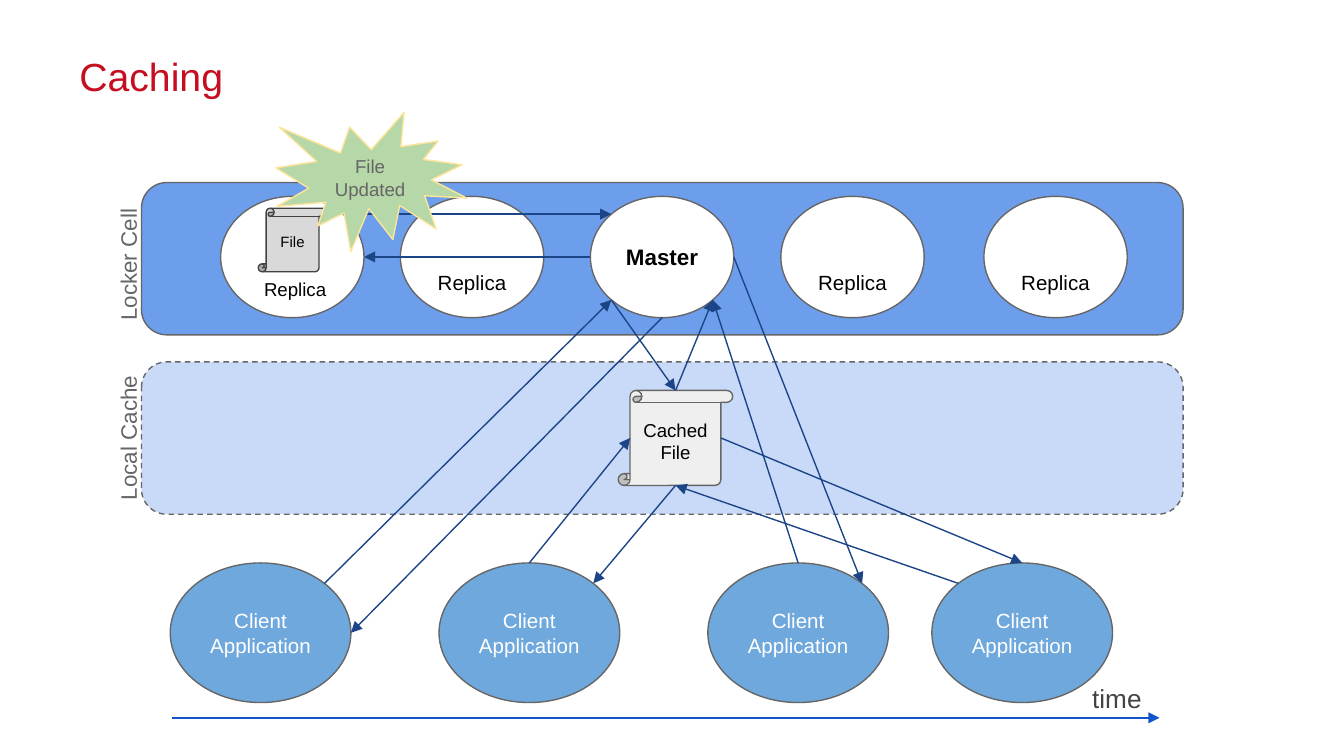
import pptx
import pptx.util
import pptx.dml.color
import pptx.enum.dml
import pptx.enum.shapes
import pptx.enum.text
import pptx.oxml
import pptx.oxml.ns

Pt = pptx.util.Pt
SHAPE = pptx.enum.shapes.MSO_SHAPE
ALIGN = pptx.enum.text.PP_ALIGN
ANCHOR = pptx.enum.text.MSO_ANCHOR

# Places on a shape's outline, as fractions of its width and height
DIAGONAL = 0.146
SITES = {
    "top": (0.5, 0), "bottom": (0.5, 1), "left": (0, 0.5), "right": (1, 0.5),
    "top left": (DIAGONAL, DIAGONAL), "top right": (1 - DIAGONAL, DIAGONAL),
    "bottom left": (DIAGONAL, 1 - DIAGONAL),
    "bottom right": (1 - DIAGONAL, 1 - DIAGONAL),
    "page left": (0.104, 0.5), "page right": (0.896, 0.5),
}

REPLICA_LEFTS = {"replica 1": 118.2, "replica 2": 214.5, "master": 316.3,
                 "replica 3": 418.3, "replica 4": 527.1}
CLIENT_LEFTS = {"client 1": 91.2, "client 2": 235.2,
                "client 3": 379.2, "client 4": 499.2}

# Each message runs from one shape's site to another's
MESSAGES = [
    ("client 1", "top right", "master", "bottom left"),
    ("master", "left", "replica 1", "right"),
    ("replica 1", "top right", "master", "top left"),
    ("master", "bottom", "client 1", "right"),
    ("client 2", "top", "cached file", "page left"),
    ("cached file", "bottom", "client 2", "top right"),
    ("master", "bottom left", "cached file", "top"),
    ("cached file", "top", "master", "bottom right"),
    ("client 3", "top", "master", "bottom right"),
    ("master", "right", "client 3", "top right"),
    ("client 4", "top left", "cached file", "bottom"),
    ("cached file", "page right", "client 4", "top"),
]


def color(value):
    return pptx.dml.color.RGBColor.from_string(value)


def set_values(target, values):
    for name, value in values.items():
        setattr(target, name, value)


def write_text(box, lines, size, ink, bold=False, align=ALIGN.CENTER,
               anchor=ANCHOR.MIDDLE, insets=(7.2, 7.2, 7.2, 7.2)):
    """Write lines into a box; insets run left, top, right, bottom."""
    frame = box.text_frame
    left, top, right, bottom = insets
    set_values(frame, {
        "word_wrap": True, "vertical_anchor": anchor,
        "auto_size": pptx.enum.text.MSO_AUTO_SIZE.NONE,
        "margin_left": Pt(left), "margin_top": Pt(top),
        "margin_right": Pt(right), "margin_bottom": Pt(bottom)})
    for index, line in enumerate(lines):
        para = frame.add_paragraph() if index else frame.paragraphs[0]
        para.alignment = align
        span = para.add_run()
        span.text = line
        set_values(span.font, {"name": "Arial", "size": Pt(size), "bold": bold})
        span.font.color.rgb = color(ink)


def add_shape(page, kind, bounds, fill, line="666666", dashed=False):
    shape = page.shapes.add_shape(kind, *map(Pt, bounds))
    shape.shadow.inherit = False
    shape.fill.solid()
    shape.fill.fore_color.rgb = color(fill)
    shape.line.color.rgb = color(line)
    shape.line.width = Pt(0.75)
    if dashed:
        shape.line.dash_style = pptx.enum.dml.MSO_LINE.DASH
    return shape


def add_label(page, bounds, text, size, ink, rotation=0):
    label = page.shapes.add_textbox(*map(Pt, bounds))
    label.rotation = rotation
    write_text(label, [text], size, ink, align=ALIGN.LEFT, anchor=ANCHOR.TOP)


def add_arrow(page, start, end, ink):
    arrow = page.shapes.add_connector(
        pptx.enum.shapes.MSO_CONNECTOR.STRAIGHT, *start, *end)
    arrow.line.color.rgb = color(ink)
    arrow.line.width = Pt(0.75)
    head = pptx.oxml.parse_xml(
        f'<a:tailEnd {pptx.oxml.ns.nsdecls("a")} type="triangle"/>')
    arrow.line._get_or_add_ln().append(head)
    properties = arrow._element.spPr
    properties.append(pptx.oxml.parse_xml(
        f'<a:effectLst {pptx.oxml.ns.nsdecls("a")}/>'))


def site_point(shape, site):
    across, down = SITES[site]
    return (round(shape.left + across * shape.width),
            round(shape.top + down * shape.height))


def add_title(page, text):
    title = page.shapes.title
    set_values(title, {"left": Pt(42.5), "top": Pt(28),
                       "width": Pt(510), "height": Pt(48)})
    write_text(title, [text], 21, "C50E1F", align=ALIGN.LEFT,
               anchor=ANCHOR.TOP, insets=(0, 0, 0, 0))
    set_values(title.text_frame.paragraphs[0],
               {"space_before": Pt(2), "space_after": Pt(5)})


def add_band(page, top, name, fill, dashed=False):
    add_shape(page, SHAPE.ROUNDED_RECTANGLE, (75.8, top, 558, 81.6), fill,
              dashed=dashed)
    add_label(page, (26.6, top + 25.6, 83, 28), name, 12, "666666", 270)


def add_replicas(page):
    replicas = {}
    for name, left in REPLICA_LEFTS.items():
        oval = add_shape(page, SHAPE.OVAL, (left, 105.2, 76.8, 65), "FFFFFF")
        if name == "master":
            write_text(oval, ["Master"], 12, "000000", bold=True,
                       insets=(5, 5, 5, 5))
        elif name == "replica 1":  # lower text leaves room for the file
            write_text(oval, ["Replica"], 10, "000000", anchor=ANCHOR.BOTTOM,
                       insets=(7, 0, 4, 0))
        else:
            write_text(oval, ["Replica"], 11, "000000", anchor=ANCHOR.BOTTOM,
                       insets=(5, 0, 5, 3))
        replicas[name] = oval
    return replicas


def add_clients(page):
    clients = {}
    for name, left in CLIENT_LEFTS.items():
        oval = add_shape(page, SHAPE.OVAL, (left, 301.6, 96.8, 74.8), "6FA8DC")
        write_text(oval, ["Client", "Application"], 11, "FFFFFF",
                   insets=(5, 5, 5, 5))
        clients[name] = oval
    return clients


def main():
    deck = pptx.Presentation()
    deck.slide_width, deck.slide_height = Pt(720), Pt(405)
    page = deck.slides.add_slide(deck.slide_layouts[5])
    add_title(page, "Caching")

    # Server cell with its replicas and the stored file
    add_band(page, 97.8, "Locker Cell", "6D9EEB")
    nodes = add_replicas(page)
    stored = add_shape(page, SHAPE.VERTICAL_SCROLL, (138.4, 111.6, 36.8, 34),
                       "D9D9D9", "434343")
    write_text(stored, ["File"], 8, "000000", insets=(4, 4, 4, 4))

    # Local cache
    add_band(page, 193.9, "Local Cache", "C9DAF8", dashed=True)
    cached = add_shape(page, SHAPE.VERTICAL_SCROLL, (331.2, 209.2, 61.4, 50.9),
                       "EFEFEF")
    write_text(cached, ["Cached File"], 10, "000000", insets=(5, 5, 5, 5))
    nodes["cached file"] = cached

    # Clients along the time axis
    nodes.update(add_clients(page))
    add_arrow(page, (Pt(92.2), Pt(384.6)), (Pt(621.2), Pt(384.6)), "1155CC")
    add_label(page, (578, 358.6, 47.5, 26), "time", 14, "434343")

    # Messages
    for source, source_site, target, target_site in MESSAGES:
        add_arrow(page, site_point(nodes[source], source_site),
                  site_point(nodes[target], target_site), "1C4587")

    # Update burst
    burst = add_shape(page, SHAPE.EXPLOSION1, (147.8, 60.2, 102.2, 74.6),
                      "B6D7A8", "FFE599")
    write_text(burst, ["File Updated"], 10, "666666")

    deck.save("out.pptx")


if __name__ == "__main__":
    main()
